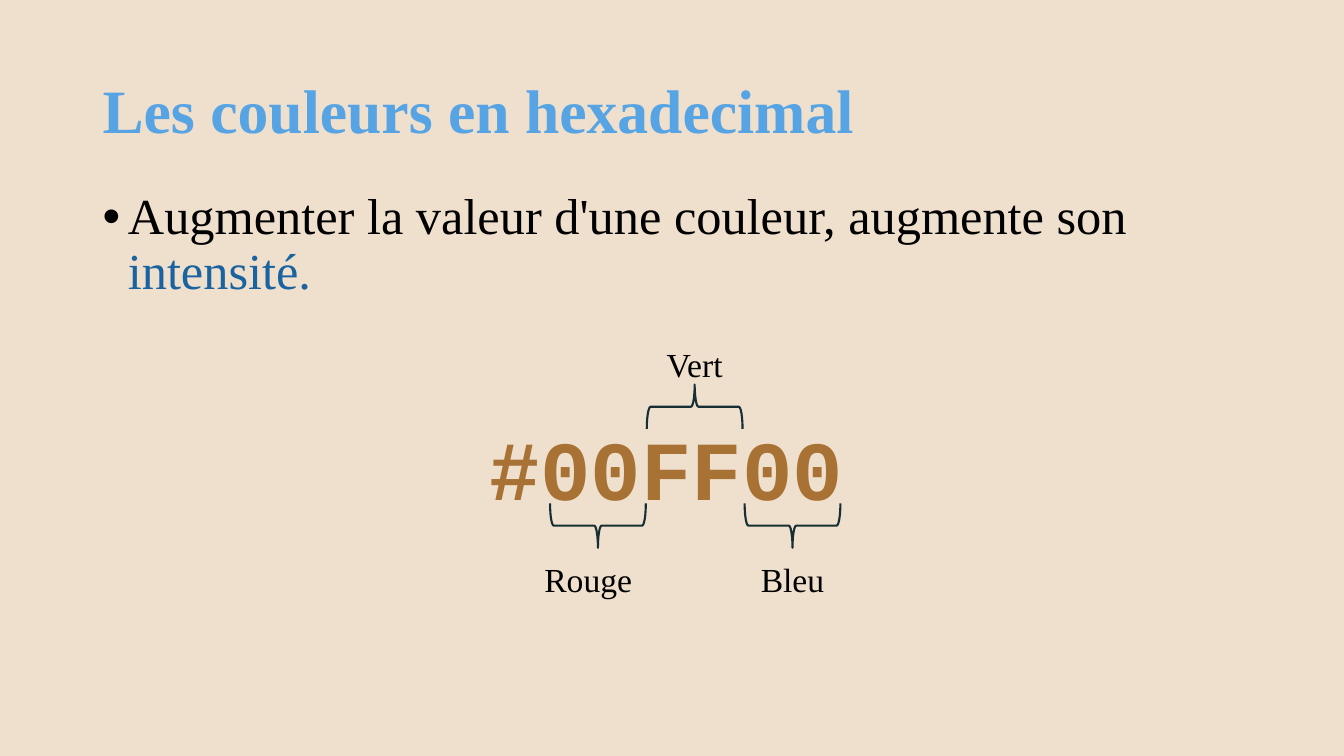
import pptx
import pptx.util
import pptx.dml.color
import pptx.enum.shapes
import pptx.enum.text
import pptx.oxml
from pptx.util import Inches

THEME = {
    "serif": "Times New Roman", "mono": "Courier New",
    "background": "EFDFCD", "title": "56A4E4", "text": "000000",
    "accent": "1963A1", "code": "A87235", "brace": "162F33",
    "title_size": 44, "body_size": 36, "code_size": 60, "label_size": 24,
}
ALIGN = pptx.enum.text.PP_ALIGN
ANCHOR = pptx.enum.text.MSO_ANCHOR


def rgb(name):
    return pptx.dml.color.RGBColor.from_string(THEME[name])


def add_text(box, runs, size, font="serif", bold=False, inset=0.1, **paragraph_format):
    """Add a text box; runs is a list of (text, colour name)."""
    shape = slide.shapes.add_textbox(*map(Inches, box))
    frame = shape.text_frame
    margins = {"margin_left": 0.1, "margin_right": 0.1,
               "margin_top": inset, "margin_bottom": inset}
    for name, value in margins.items():
        setattr(frame, name, Inches(value))
    frame.word_wrap = True
    paragraph = frame.paragraphs[0]
    for name, value in paragraph_format.items():
        setattr(paragraph, name, value)
    for text, colour in runs:
        run = paragraph.add_run()
        run.text = text
        run_format = {"name": THEME[font], "size": pptx.util.Pt(THEME[size]), "bold": bold}
        for name, value in run_format.items():
            setattr(run.font, name, value)
        run.font.color.rgb = rgb(colour)
    return frame


presentation = pptx.Presentation()
presentation.slide_width = Inches(13.33)
presentation.slide_height = Inches(7.5)
slide = presentation.slides.add_slide(presentation.slide_layouts[6])
slide.background.fill.solid()
slide.background.fill.fore_color.rgb = rgb("background")

# Title
title = add_text((0.92, 0.4, 11.5, 1.45), [("Les couleurs en hexadecimal", "title")],
                 "title_size", bold=True, inset=0.05, line_spacing=0.9)
title.vertical_anchor = ANCHOR.MIDDLE

# Bulleted sentence
body = add_text((0.92, 1.85, 11.5, 4.91),
                [("Augmenter la valeur d'une couleur, augmente son ", "text"),
                 ("intensité.", "accent")],
                "body_size", inset=0.05, line_spacing=0.9)
properties = body.paragraphs[0]._p.get_or_add_pPr()
properties.set("marL", str(Inches(0.25)))
properties.set("indent", str(Inches(-0.25)))
namespace = 'xmlns:a="http://schemas.openxmlformats.org/drawingml/2006/main"'
for bullet_xml in (
    f'<a:buClr {namespace}><a:srgbClr val="{THEME["text"]}"/></a:buClr>',
    f'<a:buFont {namespace} typeface="Arial"/>',
    f'<a:buChar {namespace} char="•"/>',
):
    properties.append(pptx.oxml.parse_xml(bullet_xml))

# Colour code
add_text((3.8, 4.03, 5.62, 0.85), [("#00FF00", "code")], "code_size",
         font="mono", bold=True, alignment=ALIGN.CENTER)

# One brace and one label for each pair of digits
channels = [
    ("Rouge", 5.71, 4.74, 90, 5.3, 5.44, ALIGN.LEFT),
    ("Vert", 6.67, 3.56, 270, 6.25, 3.31, ALIGN.CENTER),
    ("Bleu", 7.64, 4.74, 90, 7.22, 5.44, ALIGN.CENTER),
]
for label, brace_left, brace_top, rotation, label_left, label_top, alignment in channels:
    brace = slide.shapes.add_shape(
        pptx.enum.shapes.MSO_SHAPE.RIGHT_BRACE,
        Inches(brace_left), Inches(brace_top), Inches(0.44), Inches(0.95))
    brace.rotation = rotation
    brace.shadow.inherit = False
    brace.fill.background()
    brace.line.color.rgb = rgb("brace")
    brace.line.width = pptx.util.Pt(1.5)
    add_text((label_left, label_top, 1.28, 0.5), [(label, "text")], "label_size",
             alignment=alignment)

presentation.save("out.pptx")
